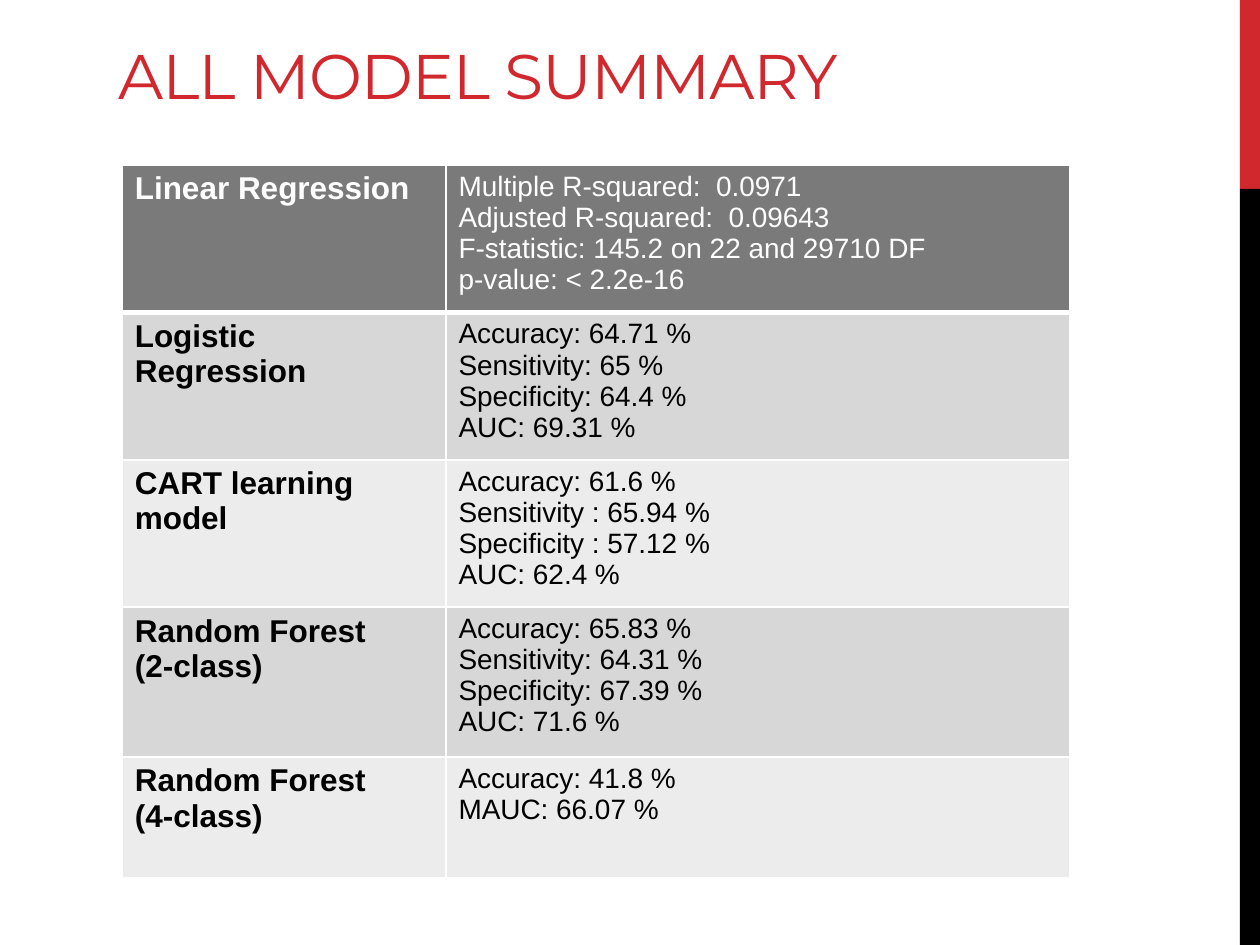
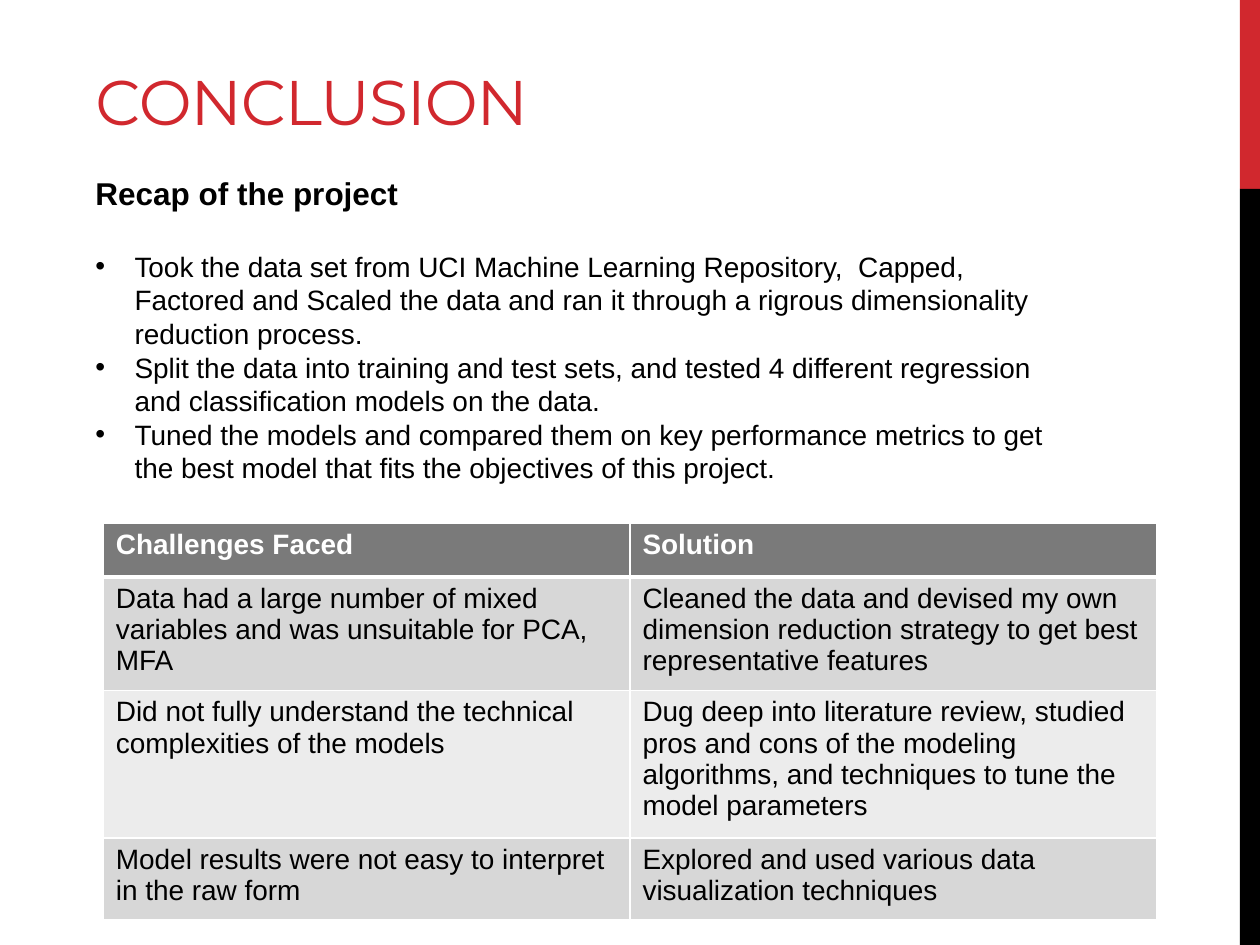
from lxml import etree
from pptx import Presentation
from pptx import util as u
from pptx.dml.color import RGBColor
from pptx.enum import shapes, text
from pptx.oxml import ns

# Grid: 100 columns by 75 rows of square units
COLS, ROWS = 100, 75
UNIT = u.Inches(0.1)
BAND_LEFT, BAND_SPLIT = 98.4, 15

COLORS = {
    "accent": "D1282E",
    "ink": "000000",
    "paper": "FFFFFF",
    "header": "7A7A7A",
    "odd": "D7D7D7",
    "even": "ECECEC",
}
BODY_FONT, TITLE_FONT = "Arial", "Montserrat"

MODELS = [
    ("Linear Regression",
     "Multiple R-squared:  0.0971\nAdjusted R-squared:  0.09643\n"
     "F-statistic: 145.2 on 22 and 29710 DF\np-value: < 2.2e-16"),
    ("Logistic Regression",
     "Accuracy: 64.71 %\nSensitivity: 65 %\nSpecificity: 64.4 %\nAUC: 69.31 %"),
    ("CART learning model",
     "Accuracy: 61.6 %\nSensitivity : 65.94 %\nSpecificity : 57.12 %\nAUC: 62.4 %"),
    ("Random Forest\n(2-class)",
     "Accuracy: 65.83 %\nSensitivity: 64.31 %\nSpecificity: 67.39 %\nAUC: 71.6 %"),
    ("Random Forest\n(4-class)", "Accuracy: 41.8 %\nMAUC: 66.07 %"),
]

RECAP = [
    "Took the data set from UCI Machine Learning Repository,  Capped, Factored and "
    "Scaled the data and ran it through a rigrous dimensionality reduction process.",
    "Split the data into training and test sets, and tested 4 different regression "
    "and classification models on the data.",
    "Tuned the models and compared them on key performance metrics to get the best "
    "model that fits the objectives of this project.",
]

CHALLENGES = [
    ("Challenges Faced", "Solution"),
    ("Data had a large number of mixed variables and was unsuitable for PCA, MFA",
     "Cleaned the data and devised my own dimension reduction strategy to get best "
     "representative features"),
    ("Did not fully understand the technical complexities of the models",
     "Dug deep into literature review, studied pros and cons of the modeling "
     "algorithms, and techniques to tune the model parameters"),
    ("Model results were not easy to interpret in the raw form",
     "Explored and used various data visualization techniques"),
]


def grid(*units):
    return [int(n * UNIT) for n in units]


def rgb(name):
    return RGBColor.from_string(COLORS[name])


def add_bullet(paragraph, indent=3.1):
    props = paragraph._p.get_or_add_pPr()
    hang = grid(indent)[0]
    props.set("marL", str(hang))
    props.set("indent", str(-hang))
    etree.SubElement(props, ns.qn("a:buFont"), typeface=BODY_FONT)
    etree.SubElement(props, ns.qn("a:buChar"), char="•")


def write(frame, content, size=16, bold=False, color="ink", font=BODY_FONT,
          bullet=False, leading=None, after=0, spacing=None, more=False):
    """Write one paragraph per line; with more, continue below the existing text."""
    for i, line in enumerate(content.split("\n")):
        paragraph = frame.add_paragraph() if more or i else frame.paragraphs[0]
        if leading:
            paragraph.line_spacing = u.Pt(leading * size)
        if after:
            paragraph.space_after = u.Pt(after)
        if bullet:
            add_bullet(paragraph)
        run = paragraph.add_run()
        run.text = line
        run.font.size = u.Pt(size)
        run.font.bold = bold
        run.font.name = font
        run.font.color.rgb = rgb(color)
        if spacing:
            run._r.get_or_add_rPr().set("spc", str(spacing))


def add_text_frame(slide, left, top, width, height):
    frame = slide.shapes.add_textbox(*grid(left, top, width, height)).text_frame
    frame.word_wrap = True
    return frame


def add_band(slide, top, height, color):
    band = slide.shapes.add_shape(
        shapes.MSO_SHAPE.RECTANGLE,
        *grid(BAND_LEFT, top, COLS - BAND_LEFT, height))
    band.shadow.inherit = False
    band.fill.solid()
    band.fill.fore_color.rgb = rgb(color)
    band.line.fill.background()


def add_titled_slide(deck, title, left, top):
    slide = deck.slides.add_slide(deck.slide_layouts[6])
    add_band(slide, 0, BAND_SPLIT, "accent")
    add_band(slide, BAND_SPLIT, ROWS - BAND_SPLIT, "ink")
    heading = add_text_frame(slide, left, top, 63.3, 15)
    heading.vertical_anchor = text.MSO_ANCHOR.BOTTOM
    heading.margin_bottom = u.Inches(0.03)
    write(heading, title, size=36, color="accent", font=TITLE_FONT, spacing=-60)
    return slide


def set_borders(cell, top, bottom):
    props = cell._tc.get_or_add_tcPr()
    for side, points in (("L", 1), ("R", 1), ("T", top), ("B", bottom)):
        line = etree.SubElement(props, ns.qn(f"a:ln{side}"), w=str(u.Pt(points)))
        fill = etree.SubElement(line, ns.qn("a:solidFill"))
        etree.SubElement(fill, ns.qn("a:srgbClr"), val=COLORS["paper"])


def add_banded_table(slide, left, top, widths, heights, rows, cell_format):
    """cell_format(row, column) gives the size and weight of a cell's text."""
    table = slide.shapes.add_table(
        len(rows), len(widths),
        *grid(left, top, sum(widths), sum(heights))).table
    table.first_row = table.horz_banding = False
    for column, width in zip(table.columns, grid(*widths)):
        column.width = width
    for r, (height, contents) in enumerate(zip(grid(*heights), rows)):
        table.rows[r].height = height
        shade = "header" if r == 0 else ("odd" if r % 2 else "even")
        for c, content in enumerate(contents):
            cell = table.cell(r, c)
            # The rule under the header is heavier than the others
            set_borders(cell, top=3 if r == 1 else 1, bottom=3 if r == 0 else 1)
            cell.fill.solid()
            cell.fill.fore_color.rgb = rgb(shade)
            write(cell.text_frame, content,
                  color="ink" if r else "paper", **cell_format(r, c))


def build_summary(deck):
    slide = add_titled_slide(deck, "ALL MODEL SUMMARY", 8.4, -5.8)
    add_banded_table(
        slide, 9.7, 13.1, [25.7, 49.5], [11.7, 11.7, 11.7, 11.9, 9.6], MODELS,
        lambda r, c: {"size": 16 if c else 18, "bold": c == 0})


def build_conclusion(deck):
    slide = add_titled_slide(deck, "CONCLUSION", 6.6, -3.7)

    # Recap
    recap = add_text_frame(slide, 6.6, 13.3, 79.4, 28.9)
    write(recap, "Recap of the project", size=18, bold=True, leading=1.2, after=21.6)
    write(recap, "\n".join(RECAP), bullet=True, leading=1.2, more=True)

    # Challenges and solutions
    add_banded_table(
        slide, 8.2, 41.5, [41.8, 41.8], [4.3, 8.9, 11.7, 6.5], CHALLENGES,
        lambda r, c: {"bold": r == 0})


def main():
    deck = Presentation()
    deck.slide_width, deck.slide_height = grid(COLS, ROWS)
    build_summary(deck)
    build_conclusion(deck)
    deck.save("out.pptx")


if __name__ == "__main__":
    main()
